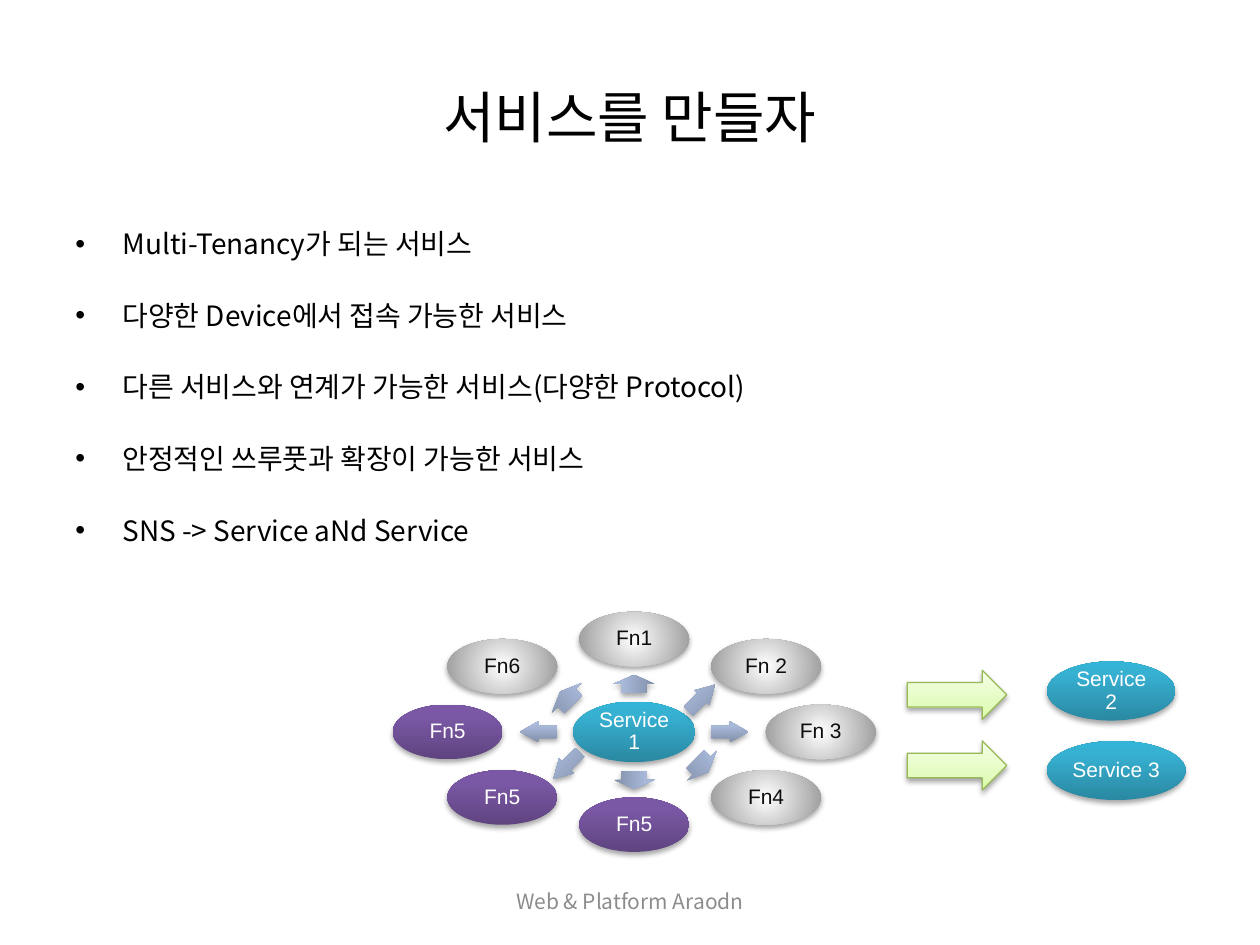
import math
import pptx
import pptx.util
import pptx.dml.color
import pptx.enum.shapes
import pptx.enum.text
import pptx.oxml
import pptx.oxml.ns

Pt = pptx.util.Pt
RGB = pptx.dml.color.RGBColor.from_string
SHAPE = pptx.enum.shapes.MSO_SHAPE
ALIGN = pptx.enum.text.PP_ALIGN
ANCHOR = pptx.enum.text.MSO_ANCHOR

THEME = {
    "latin": "Arial",
    "korean": "Noto Sans CJK KR",
    "size": {"title": 32, "body": 16, "label": 12},
    "ink": {"black": "000000", "footer": "8C8C8C", "dark": "0D0D0D", "light": "FFFFFF"},
    "fill": {
        "teal": ((0, "2A88A2"), (80, "37B1D2"), (100, "34B4D6")),
        "purple": ((0, "5F4480"), (80, "7B58A6"), (100, "7C57A8")),
        "steel": ((0, "818FA8"), (80, "A8B9DA"), (100, "A7BADC")),
        "lime": ((0, "DAFDA7"), (35, "E4FCC2"), (100, "F5FFE7")),
        "silver": ((0, "FFFFFF"), (100, "979797")),
    },
    "lime_edge": "98B955",
}

TITLE = "서비스를 만들자"
FOOTER = "Web & Platform Araodn"
POINTS = [
    "Multi-Tenancy가 되는 서비스",
    "다양한 Device에서 접속 가능한 서비스",
    "다른 서비스와 연계가 가능한 서비스(다양한 Protocol)",
    "안정적인 쓰루풋과 확장이 가능한 서비스",
    "SNS -> Service aNd Service",
]
HUB = "Service 1"
FUNCTIONS = [
    ("Fn1", "silver"), ("Fn 2", "silver"), ("Fn 3", "silver"), ("Fn4", "silver"),
    ("Fn5", "purple"), ("Fn5", "purple"), ("Fn5", "purple"), ("Fn6", "silver"),
]
SERVICES = [("Service 2", (598.3, 378, 73.4, 33.8)), ("Service 3", (598.3, 423.4, 79.2, 33.8))]
LINK_ARROWS = [(518.4, 383, 56.9, 28.1), (518.4, 423.4, 56.9, 28.1)]

HUB_CENTER = (362.4, 418.2)
HUB_SIZE = (69.8, 34.6)
NODE_SIZE = (62.8, 31.2)
NODE_RADII = (106.6, 53)
ARROW_RADII = (54.6, 27.4)
SLIM = {"size": (21.4, 12), "adjustments": (0.6, 0.88)}
STUBBY = {"size": (10.4, 23.8), "adjustments": (0.6, 0.5)}
ARROW_FORMS = [STUBBY, SLIM, SLIM, STUBBY] * 2


def apply(target, values):
    for name, value in values.items():
        setattr(target, name, value)


def write(para, text, size, ink, latin=THEME["latin"]):
    span = para.add_run()
    span.text = text
    apply(span.font, {"name": latin, "size": Pt(THEME["size"][size])})
    span.font.color.rgb = RGB(THEME["ink"][ink])
    east = span.font._element.makeelement(pptx.oxml.ns.qn("a:ea"), {"typeface": THEME["korean"]})
    span.font._element.append(east)


def add_box(page, area, anchor):
    frame = page.shapes.add_textbox(*map(Pt, area)).text_frame
    apply(frame, {"word_wrap": True, "vertical_anchor": anchor})
    return frame


def around(center, radii, degrees, size):
    turn = math.radians(degrees)
    x = center[0] + radii[0] * math.cos(turn) - size[0] / 2
    y = center[1] + radii[1] * math.sin(turn) - size[1] / 2
    return (round(x, 2), round(y, 2), *size)


def gradient_xml(fill):
    stops = "".join(
        f'<a:gs pos="{place * 1000}"><a:srgbClr val="{color}"/></a:gs>'
        for place, color in THEME["fill"][fill]
    )
    course = '<a:lin ang="16200000" scaled="0"/>'
    if fill == "silver":
        course = '<a:path path="circle"><a:fillToRect l="50000" t="50000" r="50000" b="50000"/></a:path>'
    space = pptx.oxml.ns.nsdecls("a")
    return f'<a:gradFill {space} rotWithShape="1"><a:gsLst>{stops}</a:gsLst>{course}</a:gradFill>'


def add_solid(page, kind, area, fill, edge=None):
    shape = page.shapes.add_shape(kind, *map(Pt, area))
    properties = shape._element.spPr
    properties.append(pptx.oxml.parse_xml(gradient_xml(fill)))
    if edge:
        shape.line.color.rgb = RGB(edge)
        shape.line.width = Pt(0.75)
    else:
        shape.line.fill.background()
    shape.shadow.inherit = False
    properties.find(pptx.oxml.ns.qn("a:effectLst")).append(pptx.oxml.parse_xml(
        f'<a:outerShdw {pptx.oxml.ns.nsdecls("a")} blurRad="{Pt(3.1)}" dist="{Pt(1.8)}" dir="5400000"'
        ' rotWithShape="0"><a:srgbClr val="000000"><a:alpha val="35000"/></a:srgbClr></a:outerShdw>'
    ))
    return shape


def add_node(page, text, area, fill):
    frame = add_solid(page, SHAPE.OVAL, area, fill).text_frame
    apply(frame, {
        "word_wrap": True, "vertical_anchor": ANCHOR.MIDDLE,
        "margin_left": Pt(1.4), "margin_right": Pt(1.4), "margin_top": 0, "margin_bottom": 0,
    })
    para = frame.paragraphs[0]
    apply(para, {"alignment": ALIGN.CENTER, "line_spacing": 0.9})
    write(para, text, "label", "dark" if fill == "silver" else "light")


def add_ring_arrow(page, degrees, form):
    leftward = 90 < degrees < 270
    kind = SHAPE.LEFT_ARROW if leftward else SHAPE.RIGHT_ARROW
    arrow = add_solid(page, kind, around(HUB_CENTER, ARROW_RADII, degrees, form["size"]), "steel")
    arrow.rotation = (degrees - 180 if leftward else degrees) % 360
    for index, value in enumerate(form["adjustments"]):
        arrow.adjustments[index] = value


def add_points(page):
    frame = add_box(page, (36, 126, 648, 356.4), ANCHOR.TOP)
    for index, text in enumerate(POINTS):
        para = frame.add_paragraph() if index else frame.paragraphs[0]
        properties = para._p.get_or_add_pPr()
        apply(para, {"space_before": Pt(21.7 if index else 0)})
        for tag, name, value in (("a:buFont", "typeface", "Arial"), ("a:buChar", "char", "•")):
            properties.append(properties.makeelement(pptx.oxml.ns.qn(tag), {name: value}))
        properties.set("marL", str(Pt(27)))
        properties.set("indent", str(-Pt(27)))
        write(para, text, "body", "black", THEME["korean"])


def main():
    """Build the service slide and save it."""
    deck = pptx.Presentation()
    apply(deck, {"slide_width": Pt(720), "slide_height": Pt(540)})
    page = deck.slides.add_slide(deck.slide_layouts[6])
    add_points(page)
    for text, area, size, ink, latin in (
        (TITLE, (36, 21.6, 648, 90), "title", "black", THEME["latin"]),
        (FOOTER, (246, 500.5, 228, 28.75), "label", "footer", THEME["korean"]),
    ):
        para = add_box(page, area, ANCHOR.MIDDLE).paragraphs[0]
        para.alignment = ALIGN.CENTER
        write(para, text, size, ink, latin)
    for text, area in SERVICES:
        add_node(page, text, area, "teal")
    for area in LINK_ARROWS:
        add_solid(page, SHAPE.RIGHT_ARROW, area, "lime", THEME["lime_edge"])
    add_node(page, HUB, around(HUB_CENTER, (0, 0), 0, HUB_SIZE), "teal")
    for index, ((text, fill), form) in enumerate(zip(FUNCTIONS, ARROW_FORMS)):
        degrees = (270 + index * 360 / len(FUNCTIONS)) % 360
        add_ring_arrow(page, degrees, form)
        add_node(page, text, around(HUB_CENTER, NODE_RADII, degrees, NODE_SIZE), fill)
    deck.save("out.pptx")


if __name__ == "__main__":
    main()
